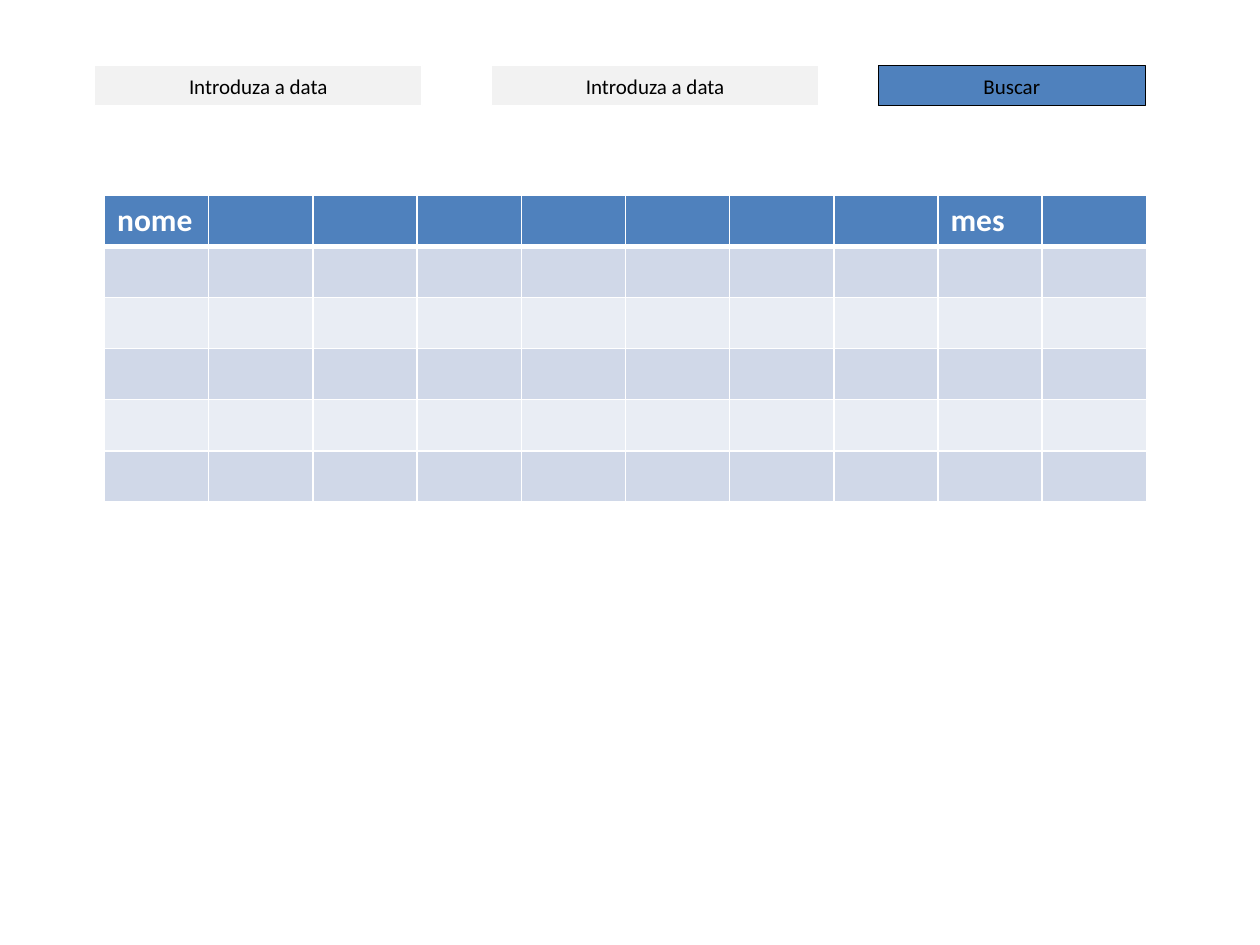
from dataclasses import dataclass
from lxml.etree import SubElement as Sub
from pptx import Presentation
from pptx.dml.color import RGBColor as Rgb
from pptx.enum.shapes import MSO_SHAPE as Kind
from pptx.enum.text import MSO_ANCHOR as Anchor, MSO_AUTO_SIZE as Fit, PP_ALIGN as Align
from pptx.oxml.ns import qn
from pptx.util import Inches, Pt


@dataclass(frozen=True)
class Theme:
    font: str = "Calibri"
    small: int = 12
    large: int = 18
    blue: str = "4F81BD"
    gray: str = "F2F2F2"
    white: str = "FFFFFF"
    black: str = "000000"
    bands: tuple = ("D0D8E8", "E9EDF4")


class Page:
    def __init__(self, deck, theme):
        self.theme = theme
        self.slide = deck.slides.add_slide(deck.slide_layouts[5])

    def paint(self, fill, color):
        fill.solid()
        fill.fore_color.rgb = Rgb.from_string(color)

    def label(self, para, text, size, color, bold=False):
        run = para.add_run()
        run.text = text
        look = {"name": self.theme.font, "size": Pt(size), "bold": bold}
        for key, value in look.items():
            setattr(run.font, key, value)
        run.font.color.rgb = Rgb.from_string(color)

    def style(self, shape, box, text, fill, edge):
        for key, value in zip(("left", "top", "width", "height"), box):
            setattr(shape, key, Inches(value))
        self.paint(shape.fill, fill)
        self.paint(shape.line.fill, edge)
        shape.line.width = Pt(0.75)
        frame = shape.text_frame
        look = {"word_wrap": True, "auto_size": Fit.NONE, "vertical_anchor": Anchor.MIDDLE}
        for key, value in look.items():
            setattr(frame, key, value)
        para = frame.paragraphs[0]
        para.alignment = Align.CENTER
        self.label(para, text, self.theme.small, self.theme.black)

    def title(self, box, text, fill, edge):
        self.style(self.slide.shapes.title, box, text, fill, edge)

    def button(self, box, text, fill, edge):
        shape = self.slide.shapes.add_shape(Kind.RECTANGLE, *map(Inches, box))
        shape.shadow.inherit = False
        self.style(shape, box, text, fill, edge)

    def border(self, cell, row):
        props = cell._tc.get_or_add_tcPr()
        top, low = (3 if row == 1 else 1), (3 if row == 0 else 1)
        for tag, width in (("a:lnL", 1), ("a:lnR", 1), ("a:lnT", top), ("a:lnB", low)):
            line = Sub(props, qn(tag), w=str(Pt(width)))
            Sub(Sub(line, qn("a:solidFill")), qn("a:srgbClr"), val=self.theme.white)

    def table(self, box, rows, heads):
        theme = self.theme
        grid = self.slide.shapes.add_table(rows, len(heads), *map(Inches, box)).table
        for row in range(rows):
            color = theme.bands[(row - 1) % 2] if row else theme.blue
            for col, head in enumerate(heads):
                cell = grid.cell(row, col)
                self.border(cell, row)
                self.paint(cell.fill, color)
                if row == 0 and head:
                    para = cell.text_frame.paragraphs[0]
                    self.label(para, head, theme.large, theme.white, True)


deck = Presentation()
deck.slide_width, deck.slide_height = Inches(10), Inches(7.5)
theme = Theme()
page = Page(deck, theme)
prompt = "Introduza a data"
page.title((0.75, 0.52, 2.6, 0.32), prompt, theme.gray, theme.white)
page.button((3.9, 0.52, 2.6, 0.32), prompt, theme.gray, theme.white)
page.button((6.97, 0.52, 2.12, 0.32), "Buscar", theme.blue, theme.black)
heads = ["nome"] + [""] * 7 + ["mes", ""]
page.table((0.83, 1.55, 8.27, 2.43), 6, heads)
deck.save("out.pptx")
